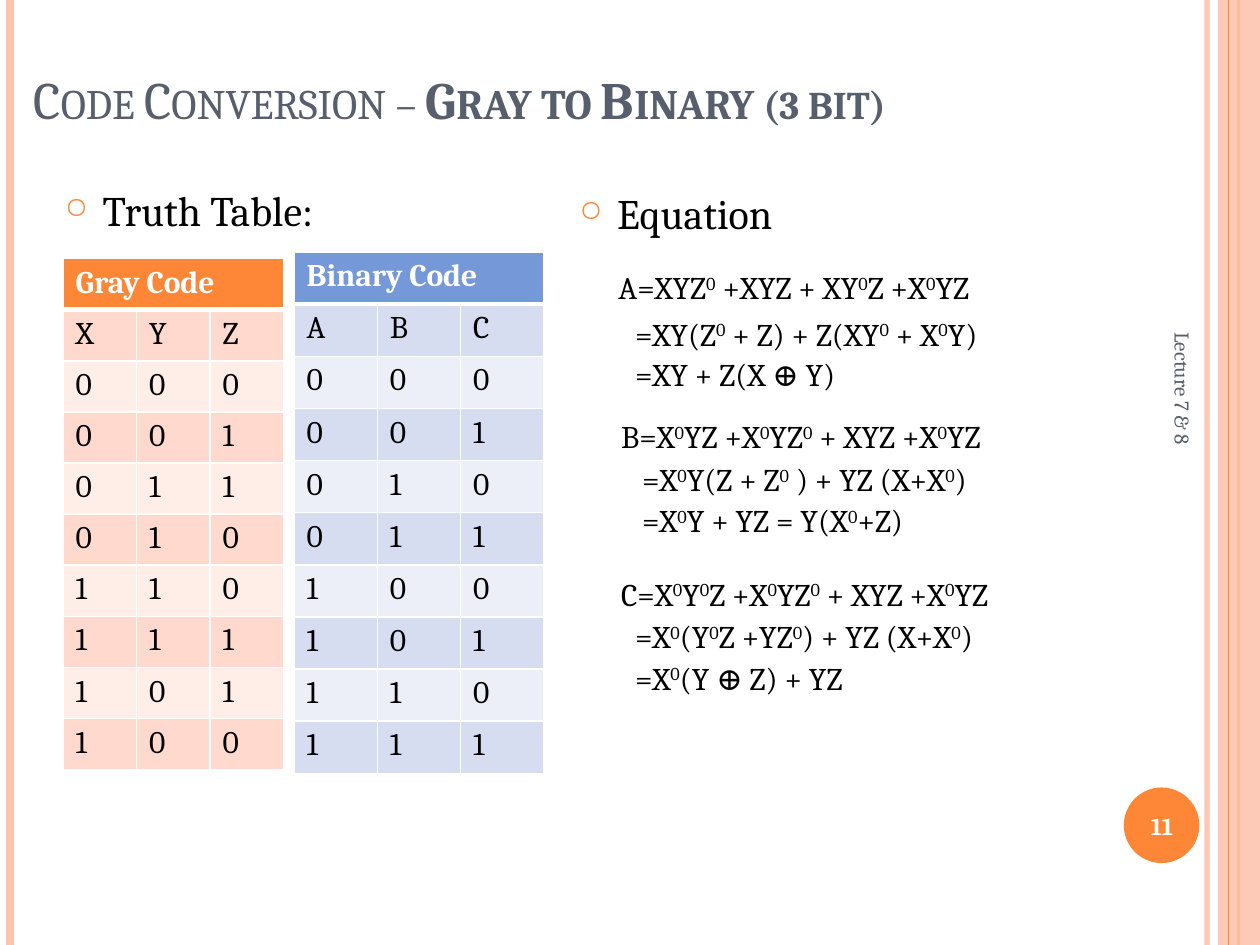
from collections import namedtuple
from dataclasses import dataclass

from lxml import etree
from pptx import Presentation
from pptx.dml.color import RGBColor
from pptx.enum.shapes import MSO_CONNECTOR, MSO_SHAPE
from pptx.enum.text import MSO_ANCHOR, PP_ALIGN
from pptx.oxml.ns import qn
from pptx.util import Pt

STRAIGHT = MSO_CONNECTOR.STRAIGHT
RECTANGLE, OVAL = MSO_SHAPE.RECTANGLE, MSO_SHAPE.OVAL
TOP, MIDDLE, BOTTOM = MSO_ANCHOR.TOP, MSO_ANCHOR.MIDDLE, MSO_ANCHOR.BOTTOM
LEFT, CENTER = PP_ALIGN.LEFT, PP_ALIGN.CENTER
TITLE_ONLY = 5

Box = namedtuple("Box", "left top width height")


@dataclass(frozen=True)
class Theme:
    font: str = "Cambria"
    ink: str = "000000"
    white: str = "FFFFFF"
    slate: str = "575F6D"
    orange: str = "FE8637"
    peach: str = "FEC3AE"
    # Table palettes: header, odd body rows, even body rows
    gray_table: tuple = ("FE8637", "FFD9CE", "FFEDE8")
    binary_table: tuple = ("7598D9", "D6DDF1", "ECEFF8")
    title_size: float = 30
    title_note_size: float = 28
    heading_size: float = 24
    body_size: float = 18
    number_size: float = 14
    footer_size: float = 12


THEME = Theme()

GRAY_ROWS = ["XYZ", "000", "001", "011", "010", "110", "111", "101", "100"]
BINARY_ROWS = ["ABC"] + [f"{number:03b}" for number in range(8)]

# Each line: left, top, indent, text; every 0 is a raised complement mark
EQUATIONS = [
    (0, 0, 0, "A=XYZ0 +XYZ + XY0Z +X0YZ"),
    (1.5, 26.6, 8, "=XY(Z0 + Z) + Z(XY0 + X0Y)"),
    (1.5, 49.7, 8, "=XY + Z(X ⊕ Y)"),
    (1.5, 85, 0, "B=X0YZ +X0YZ0 + XYZ +X0YZ"),
    (1.5, 109.5, 12, "=X0Y(Z + Z0 ) + YZ (X+X0)"),
    (1.5, 133.2, 12, "=X0Y + YZ = Y(X0+Z)"),
    (1.5, 175, 0, "C=X0Y0Z +X0YZ0 + XYZ +X0YZ"),
    (1.5, 199.5, 8, "=X0(Y0Z +YZ0) + YZ (X+X0)"),
    (1.5, 223.2, 8, "=X0(Y ⊕ Z) + YZ"),
]


def child(parent, tag, **attributes):
    return etree.SubElement(parent, qn(tag), attributes)


def set_alpha(color_owner, percent):
    for color in color_owner.iter(qn("a:srgbClr")):
        child(color, "a:alpha", val=str(percent * 1000))


def add_span(para, text, size, color=THEME.ink, bold=False):
    span = para.add_run()
    span.text = text
    span.font.name = THEME.font
    span.font.size = Pt(size)
    span.font.bold = bold
    span.font.color.rgb = RGBColor.from_string(color)
    return span


def add_text_box(page, box, anchor=TOP, align=LEFT):
    shape = page.shapes.add_textbox(*map(Pt, box))
    shape.text_frame.word_wrap = True
    shape.text_frame.vertical_anchor = anchor
    para = shape.text_frame.paragraphs[0]
    para.alignment = align
    return shape, para


def add_filled_shape(page, kind, box, color):
    shape = page.shapes.add_shape(kind, *map(Pt, box))
    shape.shadow.inherit = False
    shape.fill.solid()
    shape.fill.fore_color.rgb = RGBColor.from_string(color)
    shape.line.fill.background()
    return shape


def add_stripe(page, box, x, color, weight):
    bottom = box.top + box.height
    stripe = page.shapes.add_connector(
        STRAIGHT, Pt(box.left + x), Pt(box.top), Pt(box.left + x), Pt(bottom))
    stripe.line.color.rgb = RGBColor.from_string(color)
    stripe.line.width = Pt(weight)
    child(stripe._element.spPr, "a:effectLst")
    return stripe


def add_edge_stripes(page, box):
    inner = add_stripe(page, box, 689.8, THEME.peach, 3)
    set_alpha(inner._element.spPr, 93)
    add_stripe(page, box, 5.8, THEME.peach, 4.5)
    add_stripe(page, box, 707.8, THEME.orange, 1.5)
    band_box = Box(box.left + 696, box.top, 24, box.height)
    band = add_filled_shape(page, RECTANGLE, band_box, THEME.peach)
    set_alpha(band._element.spPr, 87)
    add_stripe(page, box, 702, THEME.orange, 0.75)


def fill_title(page, box):
    title = page.shapes.title
    title.left, title.top, title.width, title.height = map(Pt, box)
    title.text_frame.word_wrap = True
    title.text_frame.vertical_anchor = BOTTOM
    para = title.text_frame.paragraphs[0]
    para.alignment = LEFT
    for text, size, bold in [
            ("Code Conversion – ", THEME.title_size, False),
            ("Gray to Binary ", THEME.title_size, True),
            ("(3 bit)", THEME.title_note_size, True)]:
        span = add_span(para, text, size, THEME.slate, bold)
        span.font._element.set("cap", "small")


def add_footer(page, box):
    shape, para = add_text_box(page, box, MIDDLE)
    shape.rotation = 90
    add_span(para, "Lecture 7 & 8", THEME.footer_size, THEME.slate)


def add_page_number(page, box):
    disc = Box(box.left + 2.2, box.top - 1.4, 43.2, 43.2)
    add_filled_shape(page, OVAL, disc, THEME.orange)
    _, para = add_text_box(page, box, MIDDLE, CENTER)
    add_span(para, "11", THEME.number_size, THEME.white, True)


def add_heading(page, box, text):
    _, para = add_text_box(page, box)
    para.space_before = Pt(6)
    props = para._p.get_or_add_pPr()
    props.set("marL", str(Pt(21.6)))
    props.set("indent", str(Pt(-21.6)))
    child(child(props, "a:buClr"), "a:srgbClr", val=THEME.orange)
    child(props, "a:buSzPct", val="70000")
    child(props, "a:buChar", char="○")
    add_span(para, text, THEME.heading_size)


def format_cell(cell, color, bottom_weight):
    # Borders come before the fill in the cell properties
    props = cell._tc.get_or_add_tcPr()
    for side, weight in zip("LRTB", (1, 1, 1, bottom_weight)):
        border = child(props, f"a:ln{side}", w=str(Pt(weight)))
        child(child(border, "a:solidFill"), "a:srgbClr", val=THEME.white)
    cell.fill.solid()
    cell.fill.fore_color.rgb = RGBColor.from_string(color)


def add_truth_table(page, box, heading, rows, palette):
    header_color, *band_colors = palette
    row_count, column_count = len(rows) + 1, len(rows[0])
    table = page.shapes.add_table(row_count, column_count, *map(Pt, box)).table
    for column in table.columns:
        column.width = Pt(box.width / column_count)
    for row in table.rows:
        row.height = Pt(box.height / row_count)
    # Merged header
    for column in range(column_count):
        format_cell(table.cell(0, column), header_color, 3)
    header = table.cell(0, 0)
    header.merge(table.cell(0, column_count - 1))
    add_span(header.text_frame.paragraphs[0], heading, THEME.body_size, THEME.white, True)
    # Banded body
    for index, values in enumerate(rows):
        for column, value in enumerate(values):
            cell = table.cell(index + 1, column)
            format_cell(cell, band_colors[index % 2], 1)
            add_span(cell.text_frame.paragraphs[0], value, THEME.body_size)


def add_equations(page, box):
    for left, top, indent, text in EQUATIONS:
        line_box = Box(box.left + left, box.top + top, box.width, 28.8)
        _, para = add_text_box(page, line_box)
        para._p.get_or_add_pPr().set("marL", str(Pt(indent)))
        for index, part in enumerate(text.split("0")):
            if index:
                mark = add_span(para, "0", THEME.body_size)
                mark.font._element.set("baseline", "30000")
            if part:
                add_span(para, part, THEME.body_size)


def main():
    deck = Presentation()
    deck.slide_width, deck.slide_height = Pt(720), Pt(540)
    page = deck.slides.add_slide(deck.slide_layouts[TITLE_ONLY])
    add_edge_stripes(page, Box(0, 0, 720, 540))
    fill_title(page, Box(12, -12, 660, 90))
    add_footer(page, Box(550, 294.5, 252, 28.8))
    add_page_number(page, Box(640, 451.4, 48, 41))
    add_truth_table(page, Box(168, 144, 142.8, 298), "Binary Code", BINARY_ROWS, THEME.binary_table)
    add_truth_table(page, Box(36, 147.8, 126, 292), "Gray Code", GRAY_ROWS, THEME.gray_table)
    add_heading(page, Box(324, 103.7, 588, 48), "Equation")
    add_heading(page, Box(30, 102, 588, 48), "Truth Table:")
    add_equations(page, Box(346.3, 149.8, 300, 252))
    deck.save("out.pptx")


if __name__ == "__main__":
    main()
